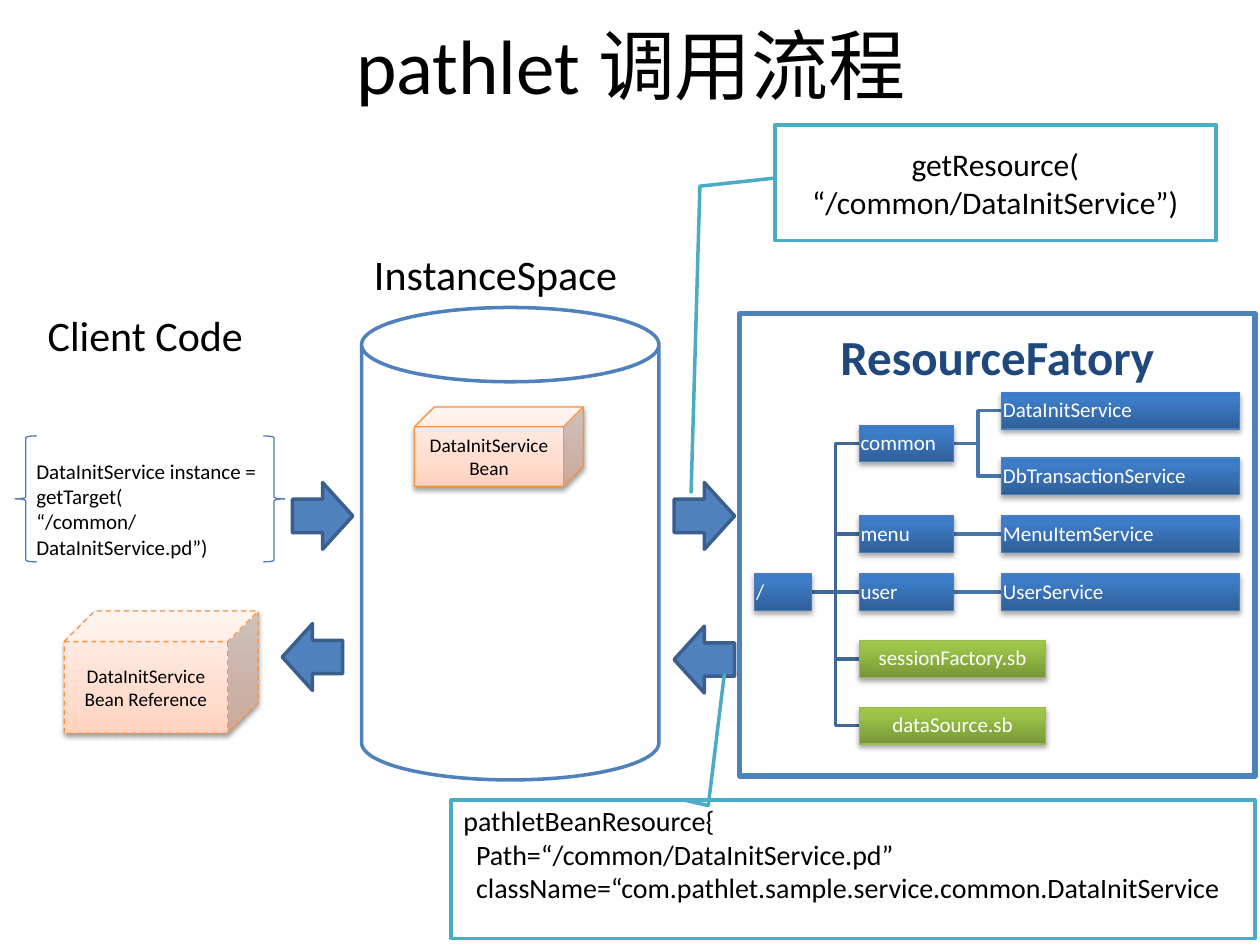
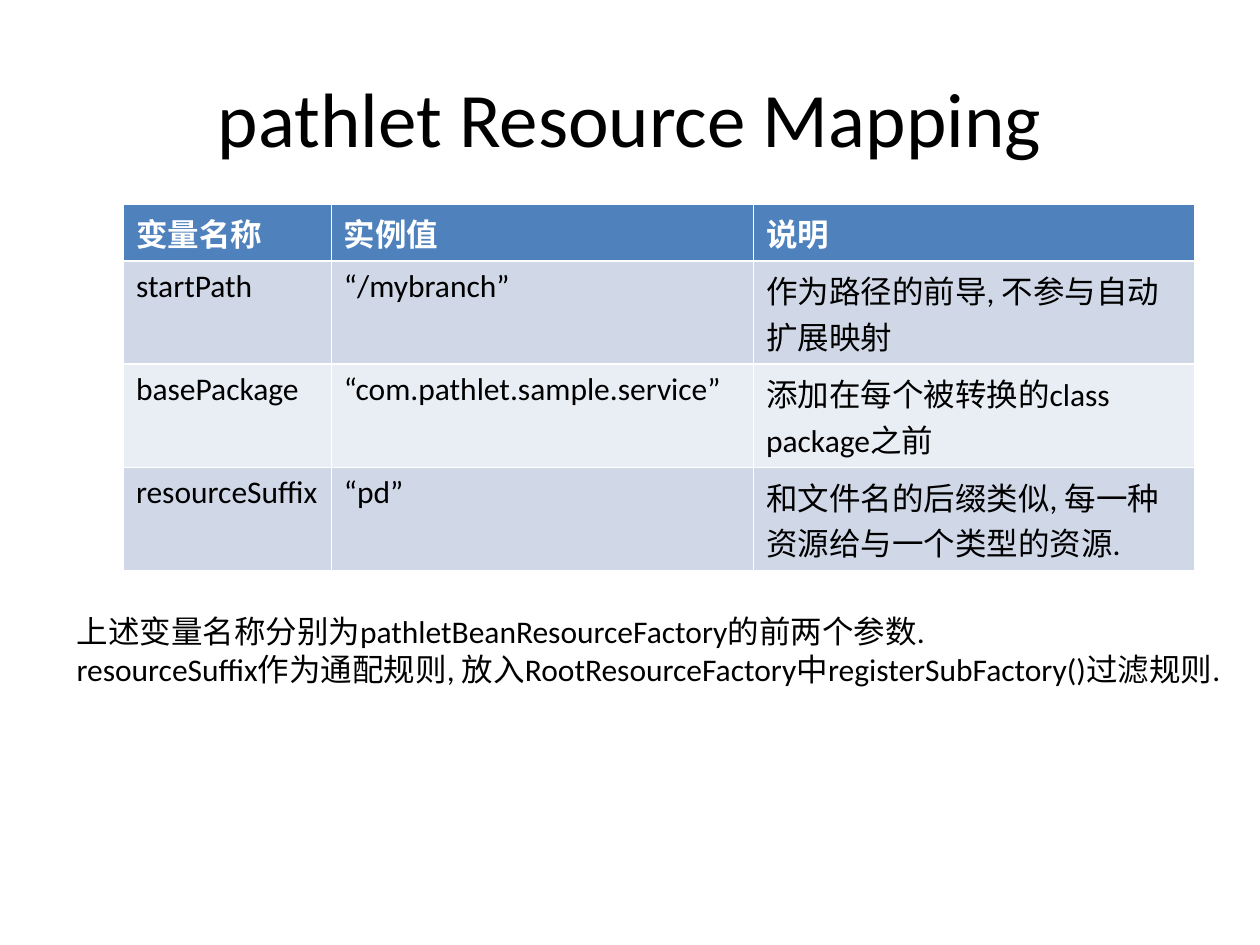
from copy import deepcopy
from dataclasses import dataclass
from typing import Optional

from lxml import etree
from pptx import Presentation
from pptx.dml.color import RGBColor
from pptx.enum.dml import MSO_LINE
from pptx.enum.shapes import MSO_CONNECTOR, MSO_SHAPE as S
from pptx.enum.text import MSO_ANCHOR as ANCHOR, PP_ALIGN as ALIGN
from pptx.oxml.ns import qn
from pptx.util import Emu, Inches, Pt

FONT = "Calibri"
BLACK = RGBColor(0x00, 0x00, 0x00)
WHITE = RGBColor(0xFF, 0xFF, 0xFF)
NAVY = RGBColor(0x1F, 0x49, 0x7D)
BLUE = RGBColor(0x4F, 0x81, 0xBD)
EDGE_BLUE = RGBColor(0x4B, 0x7E, 0xBC)
ARROW_EDGE = RGBColor(0x3A, 0x5F, 0x8C)
TRUNK = RGBColor(0x3F, 0x67, 0x97)
TWIG = RGBColor(0x48, 0x75, 0xAC)
EDGE_GREEN = RGBColor(0x98, 0xB9, 0x55)
ORANGE = RGBColor(0xF6, 0x92, 0x40)
TEAL = RGBColor(0x4B, 0xAC, 0xC6)
BAND_DARK = RGBColor(0xD0, 0xD8, 0xE8)
BAND_LIGHT = RGBColor(0xE9, 0xED, 0xF4)

# Gradients run from bottom to top: (position, colour)
BLUE_GRAD = [(0, RGBColor(0x2F, 0x5F, 0x99)), (0.8, RGBColor(0x3D, 0x7C, 0xC7)),
             (1, RGBColor(0x3A, 0x7C, 0xCB))]
GREEN_GRAD = [(0, RGBColor(0x77, 0x97, 0x37)), (0.8, RGBColor(0x9B, 0xC3, 0x48)),
              (1, RGBColor(0x9D, 0xC7, 0x46))]
PEACH_GRAD = [(0, RGBColor(0xFF, 0xD2, 0xBD)), (0.35, RGBColor(0xFF, 0xDE, 0xD0)),
              (1, RGBColor(0xFF, 0xF2, 0xED))]

prs = Presentation()
prs.slide_width, prs.slide_height = Inches(10), Inches(7.5)
COLS, ROWS = 100, 75


def col(n: float) -> Emu:
    return Emu(round(prs.slide_width * n / COLS))


def row(n: float) -> Emu:
    return Emu(round(prs.slide_height * n / ROWS))


@dataclass(frozen=True)
class Box:
    """A place on the slide, in grid columns and rows."""
    x: float
    y: float
    w: float
    h: float

    @property
    def emu(self) -> tuple:
        return col(self.x), row(self.y), col(self.w), row(self.h)


@dataclass(frozen=True)
class Style:
    size: float
    color: RGBColor = BLACK
    bold: bool = False
    align: ALIGN = ALIGN.LEFT
    anchor: ANCHOR = ANCHOR.TOP
    spacing: Optional[float] = None


TITLE = Style(44, align=ALIGN.CENTER, anchor=ANCHOR.MIDDLE)
HEADING = Style(24)
CODE = Style(12)
CUBE = Style(11, align=ALIGN.CENTER, anchor=ANCHOR.MIDDLE)


def style_paragraph(p, st: Style) -> None:
    p.alignment = st.align
    f = p.font
    f.name, f.size, f.bold = FONT, Pt(st.size), st.bold
    f.color.rgb = st.color
    if st.spacing:
        p.line_spacing = st.spacing


def write(tf, lines: list[str], st: Style, inset: Optional[float] = None) -> None:
    tf.word_wrap = True
    tf.vertical_anchor = st.anchor
    if inset is not None:
        tf.margin_left = tf.margin_right = tf.margin_top = tf.margin_bottom = Inches(inset)
    for i, line in enumerate(lines):
        p = tf.paragraphs[0] if i == 0 else tf.add_paragraph()
        p.text = line
        style_paragraph(p, st)


def add_text(slide, box: Box, lines: list[str], st: Style) -> None:
    write(slide.shapes.add_textbox(*box.emu).text_frame, lines, st)


def add_shape(slide, kind: S, box: Box, line: RGBColor, width: float,
              fill: Optional[RGBColor] = None):
    sp = slide.shapes.add_shape(kind, *box.emu)
    sp.shadow.inherit = False
    sp.line.color.rgb, sp.line.width = line, Pt(width)
    if fill is None:
        sp.fill.background()
    else:
        sp.fill.solid()
        sp.fill.fore_color.rgb = fill
    return sp


def add_raised(slide, kind: S, box: Box, line: RGBColor, grad: list, alpha: int):
    """A shape with a three-stop gradient and a soft shadow below."""
    sp = add_shape(slide, kind, box, line, 0.75)
    sp.fill.gradient()
    sp.fill.gradient_angle = 90
    stops = sp._element.spPr.find(".//" + qn("a:gsLst"))
    stops.append(deepcopy(stops[-1]))
    for stop, (position, color) in zip(sp.fill.gradient_stops, grad):
        stop.position, stop.color.rgb = position, color
    effects = sp._element.spPr.find(qn("a:effectLst"))
    shadow = etree.SubElement(effects, qn("a:outerShdw"), blurRad=str(Pt(3.1)),
                              dist=str(Pt(1.7)), dir="5400000", rotWithShape="0")
    black = etree.SubElement(shadow, qn("a:srgbClr"), val="000000")
    etree.SubElement(black, qn("a:alpha"), val=str(alpha * 1000))
    return sp


def add_cube(slide, box: Box, text: str, dashed: bool = False) -> None:
    sp = add_raised(slide, S.CUBE, box, ORANGE, PEACH_GRAD, 38)
    if dashed:
        sp.line.dash_style = MSO_LINE.DASH
    write(sp.text_frame, [text], CUBE)


def add_callout(slide, box: Box, pointer: list[float], lines: list[str], st: Style):
    sp = add_shape(slide, S.LINE_CALLOUT_2, box, TEAL, 2, WHITE)
    for i, value in enumerate(pointer):
        sp.adjustments[i] = value
    write(sp.text_frame, lines, st)
    return sp


# Resource tree
NODE_H = 2.9


@dataclass(frozen=True)
class Node:
    text: str
    x: float
    w: float
    mid: float
    parent: Optional[str] = None
    bean: bool = False

    @property
    def box(self) -> Box:
        return Box(self.x, self.mid - NODE_H / 2, self.w, NODE_H)


def branch(text: str, mid: float) -> Node:
    return Node(text, 68.2, 7.5, mid, "/")


def leaf(text: str, mid: float, parent: str) -> Node:
    return Node(text, 79.5, 18.9, mid, parent)


def bean(text: str, mid: float) -> Node:
    return Node(text, 68.2, 14.8, mid, "/", True)


TREE = [
    Node("/", 59.9, 4.5, 47),
    branch("common", 35.2),
    leaf("DataInitService", 32.6, "common"),
    leaf("DbTransactionService", 37.8, "common"),
    branch("menu", 42.4),
    leaf("MenuItemService", 42.4, "menu"),
    branch("user", 47),
    leaf("UserService", 47, "user"),
    bean("sessionFactory.sb", 52.3),
    bean("dataSource.sb", 57.6),
]


def add_link(slide, parent: Node, child: Node) -> None:
    start, end = parent.x + parent.w, child.x
    x1, x2, y1, y2 = col(start), col(end), row(parent.mid), row(child.mid)
    if y1 == y2:
        link = slide.shapes.add_connector(MSO_CONNECTOR.STRAIGHT, x1, y1, x2, y2)
        etree.SubElement(link._element.spPr, qn("a:effectLst"))
    else:
        bend = col((start + end) / 2)
        fb = slide.shapes.build_freeform(x1, y1)
        fb.add_line_segments([(bend, y1), (bend, y2), (x2, y2)], close=False)
        link = fb.convert_to_shape()
        link.fill.background()
        link.shadow.inherit = False
    link.line.color.rgb = TRUNK if parent.parent is None else TWIG
    link.line.width = Pt(2)


def add_tree(slide, nodes: list[Node]) -> None:
    by_name = {n.text: n for n in nodes if n.x < 79}
    for n in nodes:
        if n.parent:
            add_link(slide, by_name[n.parent], n)
    for n in nodes:
        edge, grad = (EDGE_GREEN, GREEN_GRAD) if n.bean else (EDGE_BLUE, BLUE_GRAD)
        sp = add_raised(slide, S.RECTANGLE, n.box, edge, grad, 35)
        align = ALIGN.CENTER if n.bean else ALIGN.LEFT
        write(sp.text_frame, [n.text],
              Style(12, WHITE, align=align, anchor=ANCHOR.MIDDLE, spacing=0.9), 0.01)


def call_flow_slide() -> None:
    s = prs.slides.add_slide(prs.slide_layouts[6])
    add_text(s, Box(5.1, 0.2, 90, 9.7), ["pathlet 调用流程"], TITLE)

    # Resource factory panel
    panel = add_shape(s, S.RECTANGLE, Box(58.7, 24.9, 40.9, 36.7), BLUE, 3)
    write(panel.text_frame, ["ResourceFatory"], Style(28, NAVY, True, ALIGN.CENTER), 0.1)
    add_tree(s, TREE)

    # Instance space
    add_shape(s, S.CAN, Box(28.7, 24.4, 23.6, 37.5), BLUE, 2, WHITE)
    add_cube(s, Box(32.9, 32.3, 13.4, 6.3), "DataInitService\vBean")
    add_text(s, Box(28.7, 19.2, 23.6, 5), ["InstanceSpace"], HEADING)

    # Client code
    add_text(s, Box(2.8, 24.1, 20.5, 5), ["Client Code"], HEADING)
    for kind, x in ((S.LEFT_BRACE, 1.2), (S.RIGHT_BRACE, 20.9)):
        add_shape(s, kind, Box(x, 34.6, 1.7, 10), EDGE_BLUE, 0.75)
    add_text(s, Box(1.9, 35.9, 20.5, 9.1),
             ["DataInitService instance =\vgetTarget(", "“/common/DataInitService.pd”)"], CODE)
    add_cube(s, Box(5.1, 48.5, 15.4, 9.7), "DataInitService\vBean Reference", dashed=True)

    # Request and response arrows
    for kind, x, y in ((S.RIGHT_ARROW, 23.2, 38.3), (S.RIGHT_ARROW, 53.5, 38.3),
                       (S.LEFT_ARROW, 22.4, 49.5), (S.LEFT_ARROW, 53.5, 49.7)):
        add_shape(s, kind, Box(x, y, 4.8, 5.3), ARROW_EDGE, 2, BLUE)

    # Callouts
    add_callout(s, Box(61.5, 9.9, 35, 9.2), [0.46, 0, 0.53, -0.17, 3.18, -0.19],
                ["getResource(", "“/common/DataInitService”)"],
                Style(18, align=ALIGN.CENTER, anchor=ANCHOR.MIDDLE))
    sp = add_callout(s, Box(35.8, 63.5, 63.8, 11), [0, 0.29, 0.04, 0.32, -0.91, 0.34],
                     ["pathletBeanResource{", "Path=“/common/DataInitService.pd”",
                      "className=“com.pathlet.sample.service.common.DataInitService"], Style(16))
    sp.text_frame.margin_top = Inches(0.03)
    for p in sp.text_frame.paragraphs[1:]:
        p._p.get_or_add_pPr().set("marL", str(Inches(0.1)))


MAPPING = [
    ["变量名称", "实例值", "说明"],
    ["startPath", "“/mybranch”", "作为路径的前导, 不参与自动扩展映射"],
    ["basePackage", "“com.pathlet.sample.service”", "添加在每个被转换的class package之前"],
    ["resourceSuffix", "“pd”", "和文件名的后缀类似, 每一种资源给与一个类型的资源."],
]


def mapping_slide() -> None:
    s = prs.slides.add_slide(prs.slide_layouts[6])
    add_text(s, Box(5, 3, 90, 12.5), ["pathlet Resource Mapping"], TITLE)

    # Variable table
    table = s.shapes.add_table(4, 3, *Box(9.8, 16.2, 85, 29.1).emu).table
    for column, w in zip(table.columns, (16.5, 33.5, 35)):
        column.width = col(w)
    for i, texts in enumerate(MAPPING):
        table.rows[i].height = row(8.2 if i else 4.5)
        for j, text in enumerate(texts):
            cell = table.cell(i, j)
            cell.fill.solid()
            cell.fill.fore_color.rgb = (BLUE, BAND_DARK, BAND_LIGHT, BAND_DARK)[i]
            cell.text = text
            style_paragraph(cell.text_frame.paragraphs[0],
                            Style(18, BLACK if i else WHITE, bold=i == 0))

    # Explanation
    add_text(s, Box(5.1, 48.1, 93.7, 7.1),
             ["上述变量名称分别为pathletBeanResourceFactory的前两个参数.",
              "resourceSuffix作为通配规则, 放入RootResourceFactory中registerSubFactory()过滤规则."],
             Style(18))


call_flow_slide()
mapping_slide()
prs.save("out.pptx")
